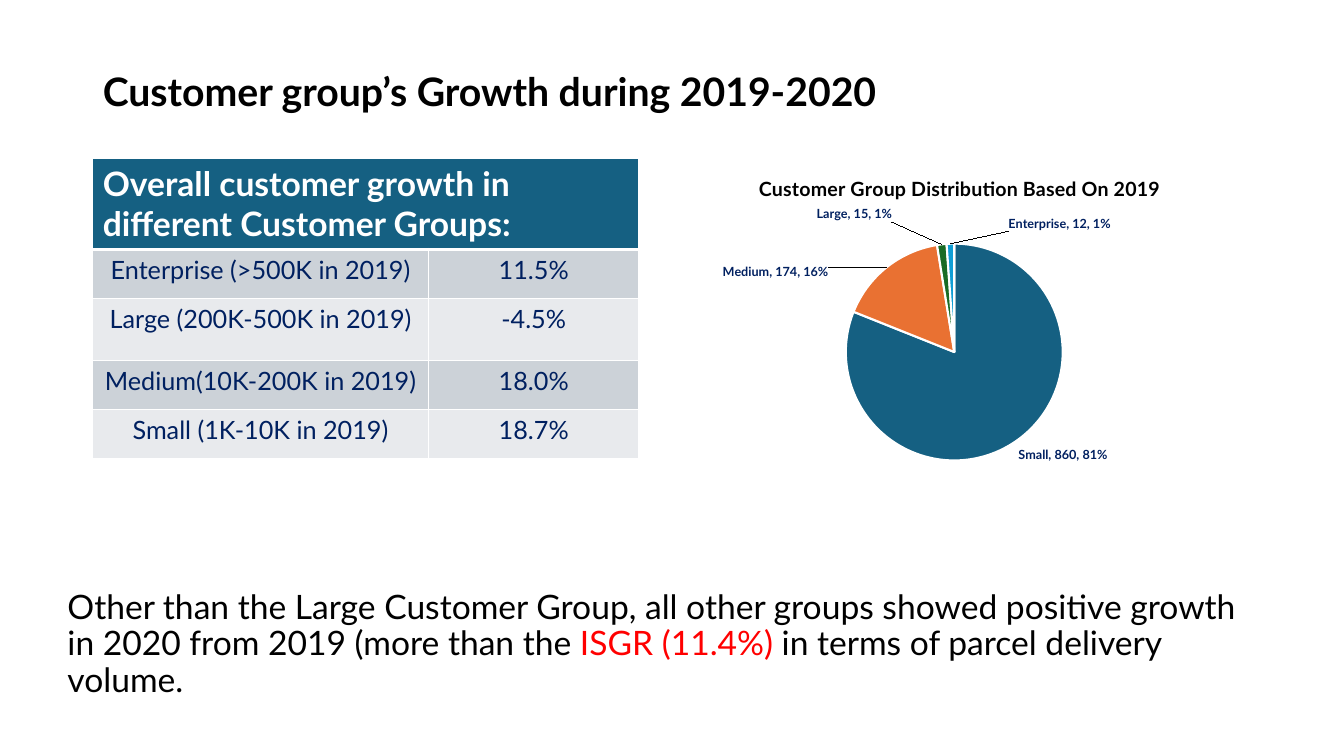
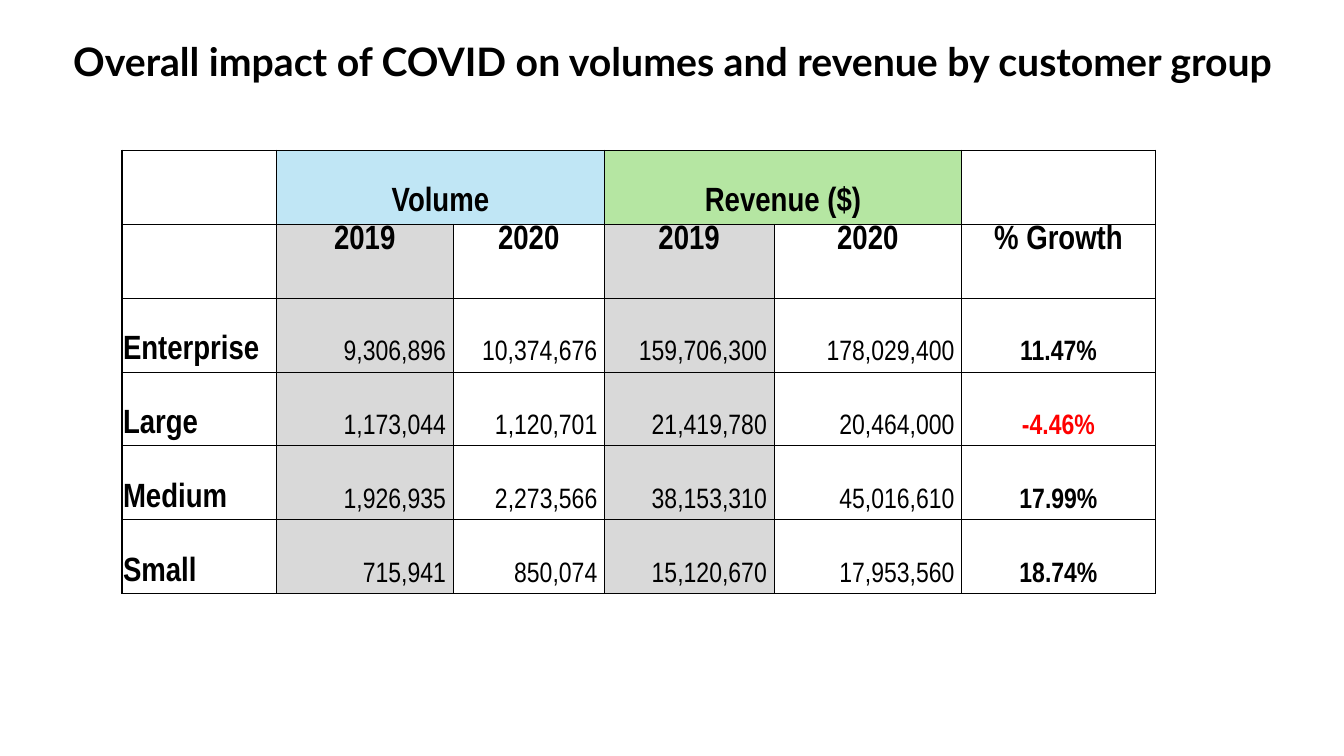
from dataclasses import dataclass

import lxml.etree
import pptx
import pptx.chart.data
import pptx.dml.color
import pptx.enum.chart
import pptx.enum.text
import pptx.oxml.ns
import pptx.util

ALIGN = pptx.enum.text.PP_ALIGN
ANCHOR = pptx.enum.text.MSO_ANCHOR
OUTSIDE = pptx.enum.chart.XL_LABEL_POSITION.OUTSIDE_END
qn = pptx.oxml.ns.qn


@dataclass(frozen=True)
class Theme:
    width: float = 13.33
    height: float = 7.5
    font: str = "Lato"
    table_font: str = "Arial Narrow"
    black: str = "000000"
    white: str = "FFFFFF"
    red: str = "FF0000"
    navy: str = "002060"
    header: str = "156082"
    bands: tuple = ("CCD2D8", "E8EAED")
    slices: tuple = ("156082", "E97132", "196B24", "0F9ED5")
    volume: str = "C0E6F5"
    revenue: str = "B5E6A2"
    gray: str = "D9D9D9"
    title: float = 28
    body: float = 24
    figure: float = 20
    cell: float = 18
    chart_title: float = 14
    label: float = 9


THEME = Theme()
GROUPS = ("Enterprise", "Large", "Medium", "Small")


def area(left, top, width, height):
    x, y = THEME.width / 100, THEME.height / 100
    return [pptx.util.Inches(value) for value in (left * x, top * y, width * x, height * y)]


def color(value):
    return pptx.dml.color.RGBColor.from_string(value)


def style_font(font, size, ink, bold=False, name=THEME.font):
    font.size = pptx.util.Pt(size)
    font.color.rgb = color(ink)
    font.bold = bold
    font.name = name


def add_page(deck, title, place, align):
    page = deck.slides.add_slide(deck.slide_layouts[5])
    box = page.shapes.title
    box.left, box.top, box.width, box.height = area(*place)
    frame = box.text_frame
    frame.text = title
    frame.word_wrap = True
    frame.auto_size = pptx.enum.text.MSO_AUTO_SIZE.NONE
    frame.vertical_anchor = ANCHOR.MIDDLE
    para = frame.paragraphs[0]
    para.alignment = align
    para.line_spacing = 0.9
    style_font(para.font, THEME.title, THEME.black, True)
    return page


def add_note(page, place, spans):
    frame = page.shapes.add_textbox(*area(*place)).text_frame
    frame.word_wrap = True
    para = frame.paragraphs[0]
    para.line_spacing = 0.9
    style_font(para.font, THEME.body, THEME.black)
    for text, ink in spans:
        span = para.add_run()
        span.text = text
        span.font.color.rgb = color(ink)


def add_grid(page, place, columns, rows):
    left, top, width, height = area(*place)
    frame = page.shapes.add_table(len(rows), len(columns), left, top, width, height)
    table = frame.table
    table.first_row = table.horz_banding = False
    for column, share in zip(table.columns, columns):
        column.width = round(width * share / sum(columns))
    for row, share in zip(table.rows, rows):
        row.height = round(height * share / sum(rows))
    return table


def set_borders(cell, ink, left, right, top, bottom):
    properties = cell._tc.get_or_add_tcPr()
    for side, points in zip("LRTB", (left, right, top, bottom)):
        line = lxml.etree.SubElement(properties, qn(f"a:ln{side}"), w=str(pptx.util.Pt(points)))
        fill = lxml.etree.SubElement(line, qn("a:solidFill"))
        lxml.etree.SubElement(fill, qn("a:srgbClr"), val=ink)


def fill_cell(cell, fill):
    if fill:
        cell.fill.solid()
        cell.fill.fore_color.rgb = color(fill)
    else:
        cell.fill.background()


def write_cell(cell, text, align, *style):
    cell.text = text
    para = cell.text_frame.paragraphs[0]
    para.alignment = align
    style_font(para.font, *style)


def add_growth_table(page, place):
    rows = (
        ("Enterprise (>500K in 2019)", "11.5%"),
        ("Large (200K-500K in 2019)", "-4.5%"),
        ("Medium(10K-200K in 2019)", "18.0%"),
        ("Small (1K-10K in 2019)", "18.7%"),
    )
    table = add_grid(page, place, (3.33, 2.09), (0.91, 0.49, 0.61, 0.49, 0.49))
    for column in range(2):
        cell = table.cell(0, column)
        set_borders(cell, THEME.white, 1, 1, 1, 3)
        fill_cell(cell, THEME.header)
    header = table.cell(0, 0)
    header.merge(table.cell(0, 1))
    write_cell(header, "Overall customer growth in different Customer Groups:",
               ALIGN.LEFT, THEME.body, THEME.white, True)
    for row, texts in enumerate(rows, 1):
        for column, text in enumerate(texts):
            cell = table.cell(row, column)
            set_borders(cell, THEME.white, 1, 1, 3 if row == 1 else 1, 1)
            fill_cell(cell, THEME.bands[(row - 1) % 2])
            write_cell(cell, text, ALIGN.CENTER, THEME.cell, THEME.navy)


def add_layout(parent, position, **values):
    layout = lxml.etree.Element(qn("c:layout"))
    manual = lxml.etree.SubElement(layout, qn("c:manualLayout"))
    for name, value in values.items():
        lxml.etree.SubElement(manual, qn(f"c:{name}"), val=str(value))
    for old in parent.findall(qn("c:layout")):
        parent.remove(old)
    parent.insert(position, layout)


def show_parts(labels):
    for name in ("showVal", "showCatName", "showPercent"):
        labels.find(qn(f"c:{name}")).set("val", "1")
    separator = lxml.etree.Element(qn("c:separator"))
    separator.text = ", "
    labels.find(qn("c:showBubbleSize")).addnext(separator)


def add_group_pie(page, place):
    data = pptx.chart.data.CategoryChartData()
    data.categories = GROUPS[::-1]
    data.add_series("Series 1", (860, 174, 15, 12))
    kind = pptx.enum.chart.XL_CHART_TYPE.PIE
    chart = page.shapes.add_chart(kind, *area(*place), data).chart
    chart.has_legend = False
    style_font(chart.font, 10, THEME.black)
    chart.has_title = True
    title = chart.chart_title
    title.include_in_layout = False
    title.text_frame.text = "Customer Group Distribution Based On 2019"
    style_font(title.text_frame.paragraphs[0].font, THEME.chart_title, THEME.black, True)
    plot = chart.plots[0]
    plot.vary_by_categories = True
    series = plot.series[0]
    for index, ink in enumerate(THEME.slices):
        part = series.points[index].format
        part.fill.solid()
        part.fill.fore_color.rgb = color(ink)
        part.line.color.rgb = color(THEME.white)
        part.line.width = pptx.util.Pt(1.5)
    labels = series.data_labels
    labels.position = OUTSIDE
    style_font(labels.font, THEME.label, THEME.navy, True)
    show_parts(labels._element)
    for index, (x, y) in enumerate(((-0.1, 0.05), (-0.09, -0.05), (0.2, -0.02)), 1):
        label = series.points[index].data_label
        label.position = OUTSIDE
        style_font(label.font, THEME.label, THEME.navy, True)
        element = labels._element.findall(qn("c:dLbl"))[index - 1]
        show_parts(element)
        add_layout(element, 1, x=x, y=y)
    area_element = chart._chartSpace.find(".//" + qn("c:plotArea"))
    add_layout(area_element, 0, layoutTarget="inner", xMode="edge", yMode="edge",
               x=0.29, y=0.26, w=0.4, h=0.66)


def impact_style(row, column, text):
    if row < 2 or column == 0:
        return ALIGN.CENTER if row < 2 else ALIGN.LEFT, THEME.body, THEME.black, True
    if column == 5:
        ink = THEME.red if text.startswith("-") else THEME.black
        return ALIGN.CENTER, THEME.figure, ink, True
    return ALIGN.RIGHT, THEME.figure, THEME.black, False


def impact_fill(row, column):
    if row == 0:
        return (None, THEME.volume, THEME.volume, THEME.revenue, THEME.revenue, None)[column]
    return THEME.gray if column in (1, 3) else None


def add_impact_table(page, place):
    figures = (
        ("9,306,896", "10,374,676", "159,706,300", "178,029,400", "11.47%"),
        ("1,173,044", "1,120,701", "21,419,780", "20,464,000", "-4.46%"),
        ("1,926,935", "2,273,566", "38,153,310", "45,016,610", "17.99%"),
        ("715,941", "850,074", "15,120,670", "17,953,560", "18.74%"),
    )
    rows = [("", "Volume", "", "Revenue ($)", "", ""),
            ("", "2019", "2020", "2019", "2020", "% Growth")]
    rows += [(group, *values) for group, values in zip(GROUPS, figures)]
    table = add_grid(page, place, (1.53, 1.75, 1.5, 1.68, 1.86, 1.92), [1] * len(rows))
    for row, texts in enumerate(rows):
        for column, text in enumerate(texts):
            cell = table.cell(row, column)
            edges = (column == 0, column == 5, row == 0, row == len(rows) - 1)
            set_borders(cell, THEME.black, *(1 if edge else 0.5 for edge in edges))
            fill_cell(cell, impact_fill(row, column))
            if not text:
                continue
            align, *style = impact_style(row, column, text)
            write_cell(cell, text, align, *style, THEME.table_font)
            cell.vertical_anchor = ANCHOR.TOP if row == 1 else ANCHOR.BOTTOM
            cell.margin_left = cell.margin_top = pptx.util.Inches(0.01)
            cell.margin_right = pptx.util.Inches(0.07 if align == ALIGN.RIGHT else 0.01)
            cell.margin_bottom = pptx.util.Inches(0.05)
    for column in (1, 3):
        table.cell(0, column).merge(table.cell(0, column + 1))


def main():
    deck = pptx.Presentation()
    deck.slide_width = pptx.util.Inches(THEME.width)
    deck.slide_height = pptx.util.Inches(THEME.height)

    page = add_page(deck, "Customer group’s Growth during 2019-2020",
                    (6.9, 7.07, 86.27, 10.8), ALIGN.LEFT)
    add_growth_table(page, (6.9, 20.93, 40.65, 39.73))
    add_note(page, (4.28, 77.47, 88.82, 12.53), (
        ("Other than the Large Customer Group, all other groups showed positive growth "
         "in 2020 from 2019 (more than the ", THEME.black),
        ("ISGR (11.4%) ", THEME.red),
        ("in terms of parcel delivery volume.", THEME.black),
    ))
    add_group_pie(page, (51.09, 20.93, 40.65, 43.47))

    page = add_page(deck, "Overall impact of COVID on volumes and revenue by customer group",
                    (3.45, 3.07, 93.17, 10.8), ALIGN.CENTER)
    add_impact_table(page, (9.08, 19.87, 76.89, 58.67))
    deck.save("out.pptx")


if __name__ == "__main__":
    main()
